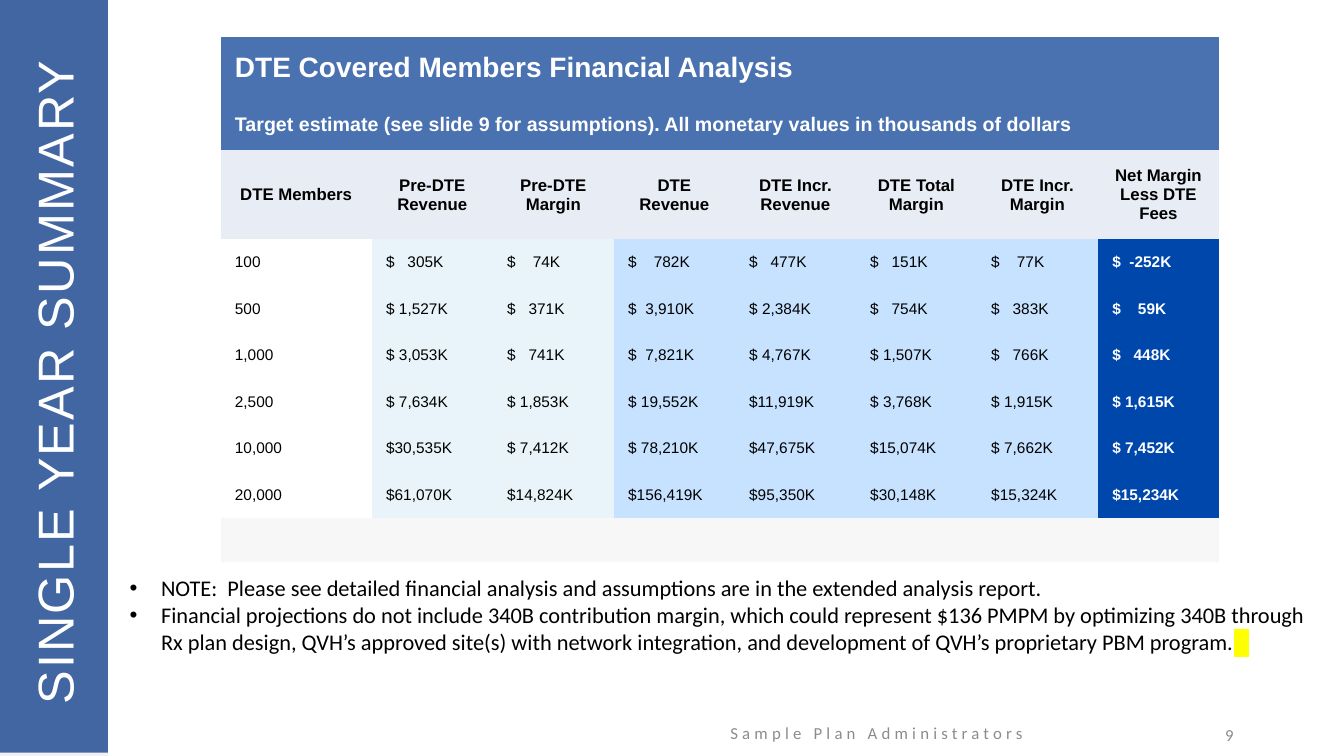
from lxml import etree
from pptx import Presentation
from pptx import util as u
from pptx.dml.color import RGBColor
from pptx.enum import shapes, text
from pptx.oxml.ns import qn

COLORS = {
    "white": "FFFFFF", "black": "000000", "muted": "8C8C8C", "margin": "F2F2F2",
    "sidebar": "254F96", "banner": "4A72B0", "header": "E7ECF5", "before": "E8F4F9",
    "during": "C6E2FF", "net": "0047AB", "closing": "F7F7F7", "marker": "FFFF00",
}
NO_STYLE = "{2D5ABB26-0587-4C30-8999-92F81FD0307C}"

HEADINGS = ["DTE Members", "Pre-DTE Revenue", "Pre-DTE Margin", "DTE Revenue",
            "DTE Incr. Revenue", "DTE Total Margin", "DTE Incr. Margin",
            "Net Margin Less DTE Fees"]
COLUMN_FILLS = [None] + ["before"] * 2 + ["during"] * 4 + ["net"]
ESTIMATES = [
    ["100", "$   305K", "$    74K", "$    782K", "$   477K", "$   151K", "$    77K", "$  -252K"],
    ["500", "$ 1,527K", "$   371K", "$  3,910K", "$ 2,384K", "$   754K", "$   383K", "$    59K"],
    ["1,000", "$ 3,053K", "$   741K", "$  7,821K", "$ 4,767K", "$ 1,507K", "$   766K", "$   448K"],
    ["2,500", "$ 7,634K", "$ 1,853K", "$ 19,552K", "$11,919K", "$ 3,768K", "$ 1,915K", "$ 1,615K"],
    ["10,000", "$30,535K", "$ 7,412K", "$ 78,210K", "$47,675K", "$15,074K", "$ 7,662K", "$ 7,452K"],
    ["20,000", "$61,070K", "$14,824K", "$156,419K", "$95,350K", "$30,148K", "$15,324K", "$15,234K"],
]
NOTES = [
    "NOTE:  Please see detailed financial analysis and assumptions are in the extended analysis report.",
    "Financial projections do not include 340B contribution margin, which could represent $136 PMPM "
    "by optimizing 340B through Rx plan design, QVH’s approved site(s) with network integration, "
    "and development of QVH’s proprietary PBM program.",
]


class SummarySlide:
    """Holds the fonts, the colours and the slide being filled."""

    heading_font = "Arial"
    body_font = "Calibri"

    def __init__(self, deck):
        self.slide = deck.slides.add_slide(deck.slide_layouts[5])

    def color(self, name):
        return RGBColor.from_string(COLORS[name])

    def format(self, paragraph, size, color, font, bold=False, spacing=None):
        for run in paragraph.runs:
            run.font.size = u.Pt(size)
            run.font.name = font
            run.font.bold = bold
            run.font.color.rgb = self.color(color)
            if spacing:
                run._r.get_or_add_rPr().set("spc", str(int(spacing * 100)))

    def paint(self, target, color):
        if color:
            target.fill.solid()
            target.fill.fore_color.rgb = self.color(color)
        else:
            target.fill.background()

    def panel(self, top, color, opacity=None):
        strip = self.slide.shapes.add_shape(
            shapes.MSO_SHAPE.RECTANGLE, 0, u.Cm(top), u.Cm(2.72), u.Cm(19.05))
        strip.shadow.inherit = False
        strip.line.fill.background()
        self.paint(strip, color)
        if opacity:
            shade = strip.element.spPr.find(qn("a:solidFill"))[0]
            etree.SubElement(shade, qn("a:alpha")).set("val", str(opacity * 1000))

    def title(self, wording):
        heading = self.slide.shapes.title
        self.slide.shapes.element.append(heading.element)
        heading.left, heading.top = u.Cm(-7.19), u.Cm(8.43)
        heading.width, heading.height = u.Cm(17.07), u.Cm(2.08)
        heading.rotation = 270
        frame = heading.text_frame
        frame.text = wording
        frame.auto_size = text.MSO_AUTO_SIZE.NONE
        frame.vertical_anchor = text.MSO_ANCHOR.MIDDLE
        frame.paragraphs[0].alignment = text.PP_ALIGN.LEFT
        self.format(frame.paragraphs[0], 36, "white", self.heading_font, spacing=1.5)

    def text_box(self, left, top, width, height):
        frame = self.slide.shapes.add_textbox(
            u.Cm(left), u.Cm(top), u.Cm(width), u.Cm(height)).text_frame
        frame.word_wrap = True
        return frame

    def footer(self, wording, left, top, width, alignment, spacing=None):
        frame = self.text_box(left, top, width, 1.02)
        frame.text = wording
        frame.vertical_anchor = text.MSO_ANCHOR.MIDDLE
        frame.paragraphs[0].alignment = alignment
        self.format(frame.paragraphs[0], 12, "muted", self.body_font, spacing=spacing)

    def notes(self, points):
        frame = self.text_box(3.02, 14.35, 30.23, 2.31)
        frame.text = "\n".join(points)
        marker = frame.paragraphs[-1].add_run()
        marker.text = "   "
        for point in frame.paragraphs:
            properties = point._p.get_or_add_pPr()
            properties.set("marL", str(u.Cm(0.79)))
            properties.set("indent", str(u.Cm(-0.79)))
            etree.SubElement(properties, qn("a:buFont")).set("typeface", "Arial")
            etree.SubElement(properties, qn("a:buChar")).set("char", "•")
            self.format(point, 16, "black", self.body_font)
        highlight = etree.Element(qn("a:highlight"))
        etree.SubElement(highlight, qn("a:srgbClr")).set("val", COLORS["marker"])
        marker._r.rPr.find(qn("a:solidFill")).addnext(highlight)

    def cell(self, cell, wording, fill, size=11, color="black", bold=False, centred=False):
        self.paint(cell, fill)
        cell.margin_left = cell.margin_right = u.Cm(0.36)
        cell.margin_top = cell.margin_bottom = 0
        cell.vertical_anchor = text.MSO_ANCHOR.MIDDLE
        cell.text_frame.text = wording
        paragraph = cell.text_frame.paragraphs[0]
        paragraph.alignment = text.PP_ALIGN.CENTER if centred else text.PP_ALIGN.LEFT
        self.format(paragraph, size, color, self.heading_font, bold)

    def full_row(self, table, row, wording, fill, size=11):
        last = len(table.columns) - 1
        table.cell(row, 0).merge(table.cell(row, last))
        self.cell(table.cell(row, 0), wording, fill, size, "white", True)

    def analysis(self, widths, heights):
        table = self.slide.shapes.add_table(
            len(heights), len(widths), u.Cm(5.56), u.Cm(0.94),
            u.Cm(sum(widths)), u.Cm(sum(heights))).table
        table.first_row = table.horz_banding = False
        table._tbl.tblPr.find(qn("a:tableStyleId")).text = NO_STYLE
        for column, width in zip(table.columns, widths):
            column.width = u.Cm(width)
        for row, height in zip(table.rows, heights):
            row.height = u.Cm(height)
        self.full_row(table, 0, "DTE Covered Members Financial Analysis", "banner", 20)
        self.full_row(table, 1, "Target estimate (see slide 9 for assumptions). "
                      "All monetary values in thousands of dollars", "banner", 14)
        for column, heading in enumerate(HEADINGS):
            self.cell(table.cell(2, column), heading, "header", 12, bold=True, centred=True)
        for row, estimate in enumerate(ESTIMATES, start=3):
            for column, (amount, fill) in enumerate(zip(estimate, COLUMN_FILLS)):
                net = fill == "net"
                self.cell(table.cell(row, column), amount, fill,
                          color="white" if net else "black", bold=net)
        self.full_row(table, len(heights) - 1, "", "closing")


def main():
    deck = Presentation()
    deck.slide_width, deck.slide_height = u.Cm(33.87), u.Cm(19.05)
    summary = SummarySlide(deck)
    summary.panel(0, "margin")
    summary.footer("Sample Plan Administrators", 16.38, 17.96, 11.43, text.PP_ALIGN.CENTER, 3)
    summary.footer("9", 23.72, 18.01, 7.62, text.PP_ALIGN.RIGHT)
    summary.panel(-0.08, "sidebar", 86)
    summary.title("SINGLE YEAR SUMMARY")
    summary.notes(NOTES)
    summary.analysis([3.81] + [3.05] * 7, [1.55, 1.3, 2.24] + [1.17] * 6 + [1.12])
    deck.save("out.pptx")


if __name__ == "__main__":
    main()
